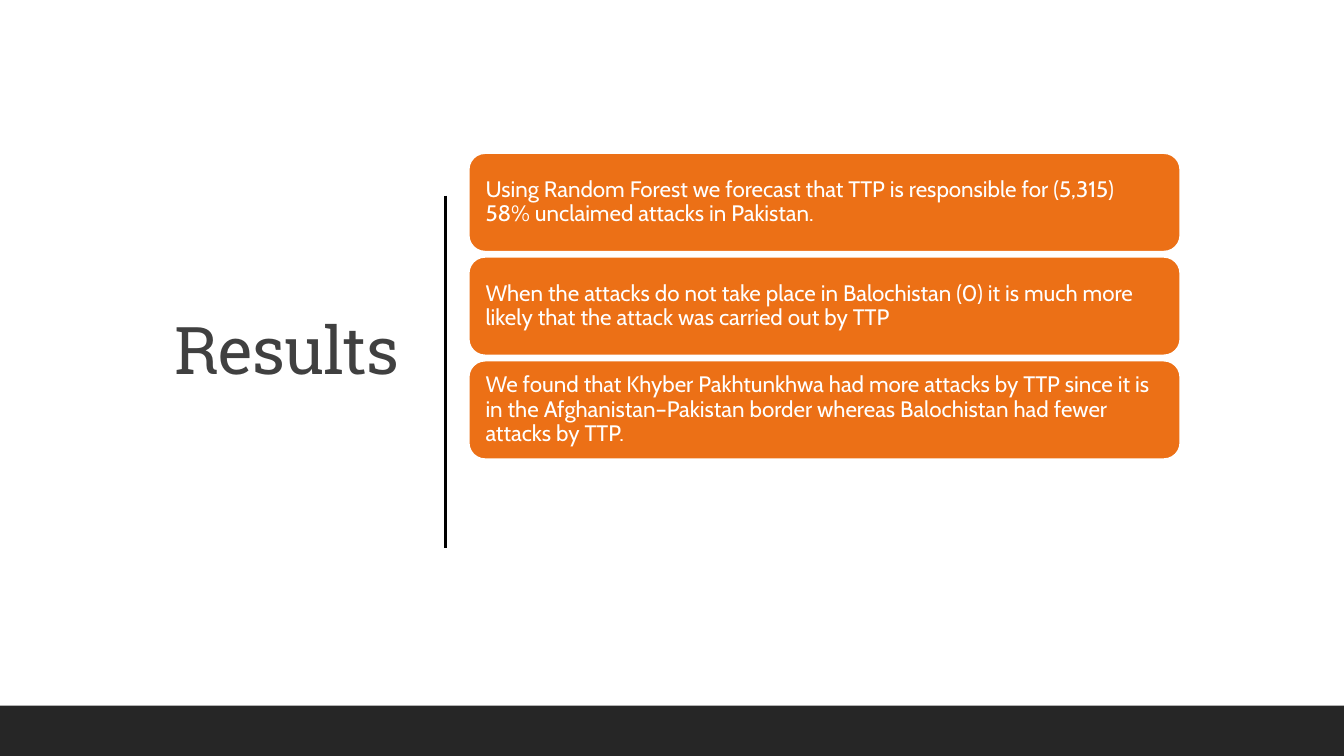
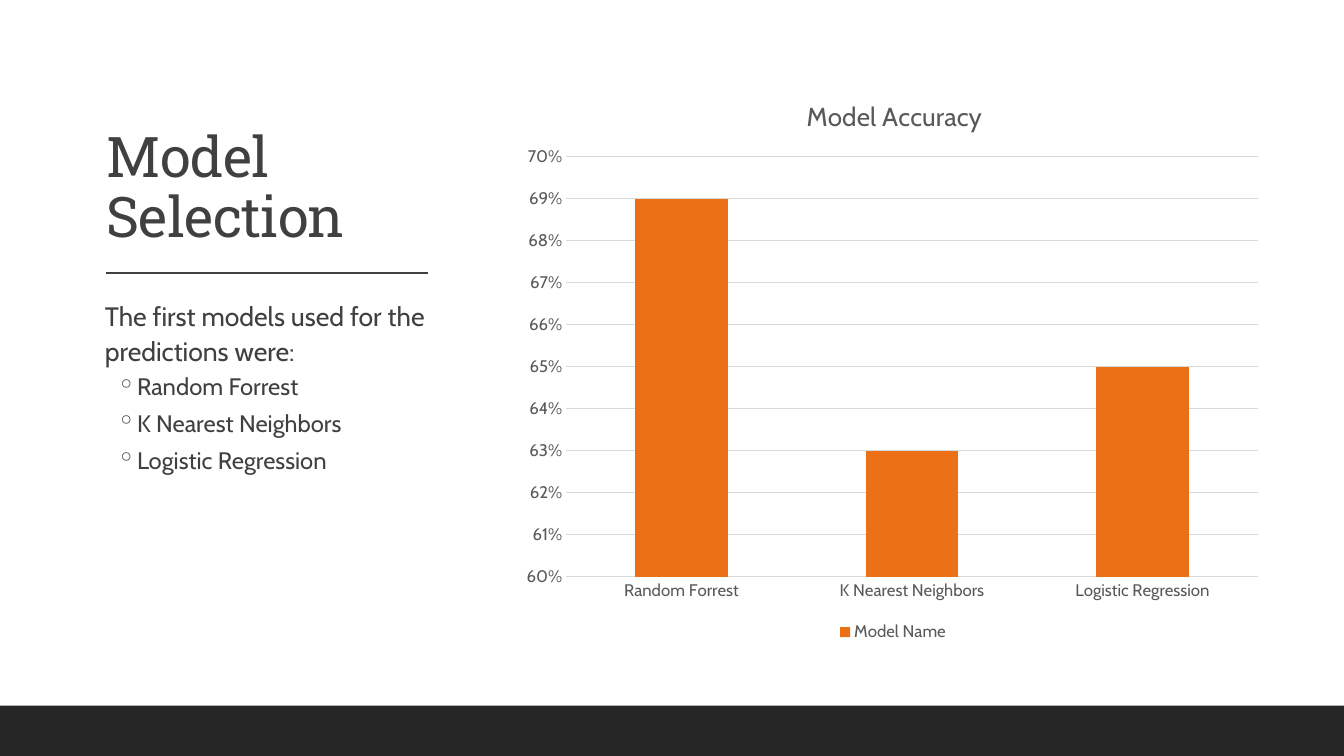
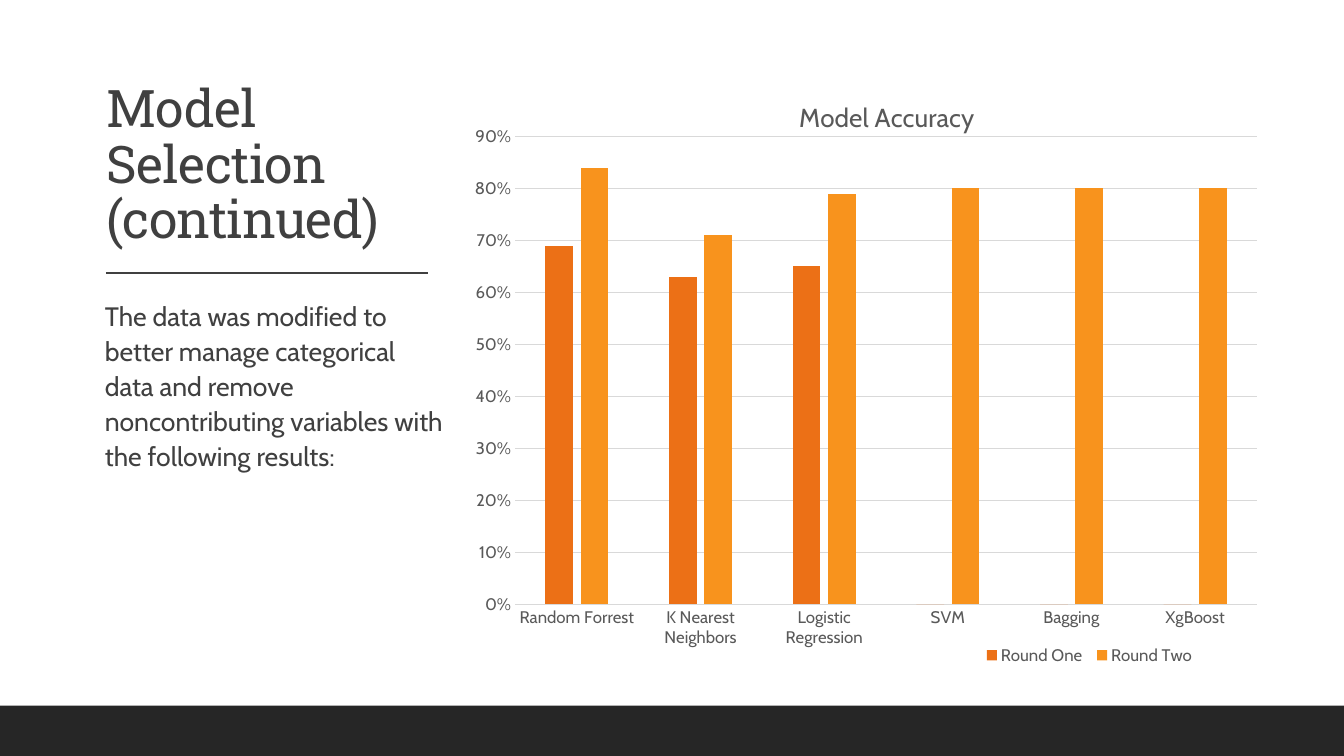
from dataclasses import dataclass

from lxml import etree
from pptx import Presentation
from pptx.chart.data import CategoryChartData
from pptx.dml.color import RGBColor
from pptx.enum.chart import XL_CHART_TYPE, XL_LEGEND_POSITION, XL_TICK_MARK
from pptx.enum.shapes import MSO_CONNECTOR, MSO_SHAPE
from pptx.enum.text import MSO_ANCHOR, PP_ALIGN
from pptx.oxml.ns import qn
from pptx.util import Pt

STRAIGHT = MSO_CONNECTOR.STRAIGHT
RECT, ROUNDED = MSO_SHAPE.RECTANGLE, MSO_SHAPE.ROUNDED_RECTANGLE
TOP, MIDDLE, BOTTOM = MSO_ANCHOR.TOP, MSO_ANCHOR.MIDDLE, MSO_ANCHOR.BOTTOM
LEFT, RIGHT = PP_ALIGN.LEFT, PP_ALIGN.RIGHT
STACKED, CLUSTERED = XL_CHART_TYPE.COLUMN_STACKED, XL_CHART_TYPE.COLUMN_CLUSTERED
LEGEND_BOTTOM = XL_LEGEND_POSITION.BOTTOM
NO_TICK = XL_TICK_MARK.NONE

SLIDE_W, SLIDE_H, BAND_H = 960, 540, 36
SIDE_TITLE_BOX = (69.1, 50.4, 250.6, 131.8)
SIDE_RULE = (75.6, 195.1, 306, 195.1)
SIDE_BODY_BOX = (67.7, 208.1, 252.7, 254.2)


@dataclass(frozen=True)
class Theme:
    head_font: str = "Roboto Slab"
    body_font: str = "Cabin"
    ink: str = "404040"
    band: str = "262626"
    orange: str = "EC7016"
    amber: str = "F8931D"
    white: str = "FFFFFF"
    black: str = "000000"
    chart_text: str = "595959"
    grid: str = "D9D9D9"
    card_size: float = 16
    body_size: float = 19
    bullet_size: float = 17
    chart_title_size: float = 18.6
    chart_size: float = 12


def set_attrs(target, values):
    for name, value in values.items():
        setattr(target, name, value)


def set_font(font, name, size, color):
    set_attrs(font, {"name": name, "size": Pt(size), "bold": False})
    font.color.rgb = RGBColor.from_string(color)


def set_line(line, color, width):
    line.color.rgb = RGBColor.from_string(color)
    line.width = Pt(width)


def set_layout(parent, index, box, inner=False):
    """Place a chart part by fractions of the chart: x, y and optionally w, h."""
    for old in parent.findall(qn("c:layout")):
        parent.remove(old)
    layout = etree.Element(qn("c:layout"))
    manual = etree.SubElement(layout, qn("c:manualLayout"))
    values = [("layoutTarget", "inner")] if inner else []
    values += [("xMode", "edge"), ("yMode", "edge"), *zip("xywh", box)]
    for tag, value in values:
        etree.SubElement(manual, qn(f"c:{tag}")).set("val", str(value))
    parent.insert(index, layout)


class Deck:
    def __init__(self, theme):
        self.theme = theme
        self.prs = Presentation()
        self.prs.slide_width, self.prs.slide_height = Pt(SLIDE_W), Pt(SLIDE_H)
        self.s = None

    def new_slide(self):
        self.s = self.prs.slides.add_slide(self.prs.slide_layouts[6])
        self.shape(RECT, (0, SLIDE_H - BAND_H, SLIDE_W, BAND_H), self.theme.band)

    def shape(self, kind, box, fill, line=None):
        sp = self.s.shapes.add_shape(kind, *map(Pt, box))
        sp.shadow.inherit = False
        sp.fill.solid()
        sp.fill.fore_color.rgb = RGBColor.from_string(fill)
        if line:
            set_line(sp.line, line, 1.25)
        else:
            sp.line.fill.background()
        return sp

    def rule(self, ends, color, width):
        line = self.s.shapes.add_connector(STRAIGHT, *map(Pt, ends))
        set_line(line.line, color, width)
        etree.SubElement(line._element.spPr, qn("a:effectLst"))

    def frame(self, sp, anchor, side, edge):
        tf = sp.text_frame
        set_attrs(tf, {"word_wrap": True, "vertical_anchor": anchor,
                       "margin_left": Pt(side), "margin_right": Pt(side),
                       "margin_top": Pt(edge), "margin_bottom": Pt(edge)})
        return tf

    def text_box(self, box, anchor, side):
        return self.frame(self.s.shapes.add_textbox(*map(Pt, box)), anchor, side, 3.6)

    def add_text(self, p, text, font, size, color, **paragraph):
        set_attrs(p, paragraph)
        r = p.add_run()
        r.text = text
        set_font(r.font, font, size, color)
        return r

    def title(self, text, box, size, anchor=BOTTOM, align=LEFT):
        tf = self.text_box(box, anchor, 7.2)
        r = self.add_text(tf.paragraphs[0], text, self.theme.head_font, size,
                          self.theme.ink, alignment=align, line_spacing=0.9)
        r._r.get_or_add_rPr().set("spc", "-50")

    def card(self, text, box):
        t = self.theme
        tf = self.frame(self.shape(ROUNDED, box, t.orange, t.white), MIDDLE, 8.6, 8.6)
        self.add_text(tf.paragraphs[0], text, t.body_font, t.card_size, t.white,
                      alignment=LEFT, line_spacing=0.9)

    def body(self, lead, bullets=()):
        t = self.theme
        tf = self.text_box(SIDE_BODY_BOX, TOP, 0)
        p = tf.paragraphs[0]
        self.add_text(p, lead, t.body_font, t.body_size, t.ink,
                      line_spacing=1.1, space_after=Pt(2))
        p._p.get_or_add_pPr().set("marL", str(Pt(7.2)))
        for text in bullets:
            p = tf.add_paragraph()
            self.add_text(p, text, t.body_font, t.bullet_size, t.ink,
                          space_before=Pt(2), space_after=Pt(4))
            pPr = p._p.get_or_add_pPr()
            pPr.set("marL", str(Pt(30.2)))
            pPr.set("indent", str(-Pt(14.4)))
            etree.SubElement(pPr, qn("a:buChar")).set("char", "◦")

    def side_panel(self, title, size, lead, bullets=()):
        self.title(title, SIDE_TITLE_BOX, size)
        self.rule(SIDE_RULE, self.theme.ink, 1)
        self.body(lead, bullets)

    def column_chart(self, kind, box, title, cats, series, scale, bars,
                     title_at, plot_at, legend_at=None):
        t = self.theme
        data = CategoryChartData(number_format="0%")
        data.categories = cats
        for name, values in series.items():
            data.add_series(name, values)
        chart = self.s.shapes.add_chart(kind, *map(Pt, box), data).chart
        set_font(chart.font, t.body_font, t.chart_size, t.chart_text)

        chart.has_title = True
        self.add_text(chart.chart_title.text_frame.paragraphs[0], title,
                      t.body_font, t.chart_title_size, t.chart_text)
        set_layout(chart.chart_title._element, 1, title_at)

        plot = chart.plots[0]
        set_attrs(plot, {"vary_by_categories": False, **bars})
        for ser, color in zip(plot.series, (t.orange, t.amber)):
            ser.format.fill.solid()
            ser.format.fill.fore_color.rgb = RGBColor.from_string(color)
        set_layout(chart._chartSpace.chart.plotArea, 0, plot_at, inner=True)

        for axis in (chart.category_axis, chart.value_axis):
            set_attrs(axis, {"major_tick_mark": NO_TICK, "minor_tick_mark": NO_TICK})
            set_font(axis.tick_labels.font, t.body_font, t.chart_size, t.chart_text)
        set_line(chart.category_axis.format.line, t.grid, 0.75)
        axis = chart.value_axis
        set_attrs(axis, dict(zip(("minimum_scale", "maximum_scale", "major_unit"), scale)))
        set_attrs(axis.tick_labels, {"number_format": "0%", "number_format_is_linked": False})
        axis.format.line.fill.background()
        set_line(axis.major_gridlines.format.line, t.grid, 0.75)

        chart.has_legend = True
        set_attrs(chart.legend, {"position": LEGEND_BOTTOM, "include_in_layout": False})
        set_font(chart.legend.font, t.body_font, t.chart_size, t.chart_text)
        if legend_at:
            set_layout(chart.legend._element, 1, legend_at)


def results_slide(deck):
    deck.new_slide()
    deck.title("Results", (50.4, 50.4, 242, 404), 47, MIDDLE, RIGHT)
    deck.rule((318.2, 139.7, 318.2, 391.7), deck.theme.black, 1.5)
    findings = (
        "Using Random Forest we forecast that TTP is responsible for (5,315) 58% "
        "unclaimed attacks in Pakistan.",
        "When the attacks do not take place in Balochistan (0) it is much more likely "
        "that the attack was carried out by TTP",
        "We found that Khyber Pakhtunkhwa had more attacks by TTP since it is in the "
        "Afghanistan–Pakistan border whereas Balochistan had fewer attacks by TTP.",
    )
    height, gap = 70.4, 3.7
    for i, text in enumerate(findings):
        deck.card(text, (334.8, 109.4 + i * (height + gap), 508.3, height))


def first_models_slide(deck, models):
    deck.new_slide()
    deck.side_panel("Model Selection", 40,
                    "The first models used for the predictions were:", models)
    deck.column_chart(
        STACKED, (366.5, 50.4, 542.9, 411.1), "Model Accuracy", models,
        {"Model Name": (0.69, 0.63, 0.65)}, (0.6, 0.7, 0.01),
        {"gap_width": 150, "overlap": 100},
        title_at=(0.38, 0.04), plot_at=(0.07, 0.15, 0.91, 0.73))


def second_round_slide(deck, models):
    deck.new_slide()
    deck.side_panel("Model Selection (continued)", 37,
                    "The data was modified to better manage categorical data and remove "
                    "noncontributing variables with the following results:")
    deck.column_chart(
        CLUSTERED, (339.1, 50.4, 570.2, 428.4), "Model Accuracy",
        (*models, "SVM", "Bagging", "XgBoost"),
        {"Round One": (0.69, 0.63, 0.65, 0, 0, 0),
         "Round Two": (0.84, 0.71, 0.79, 0.8, 0.8, 0.8)}, (0, 0.9, 0.1),
        {"gap_width": 219, "overlap": -27},
        title_at=(0.4, 0.04), plot_at=(0.05, 0.11, 0.93, 0.78),
        legend_at=(0.63, 0.95, 0.28, 0.05))


def main():
    deck = Deck(Theme())
    models = ("Random Forrest", "K Nearest Neighbors", "Logistic Regression")
    results_slide(deck)
    first_models_slide(deck, models)
    second_round_slide(deck, models)
    deck.prs.save("out.pptx")


if __name__ == "__main__":
    main()
